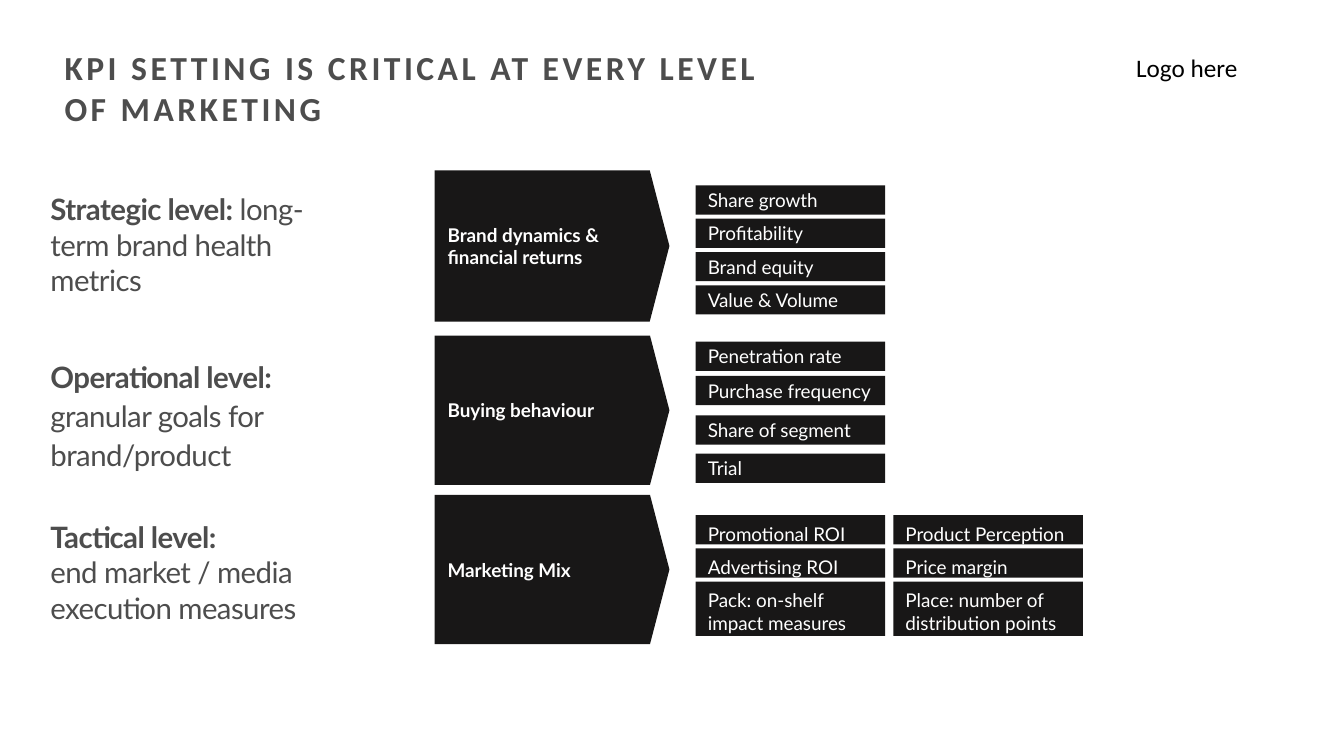
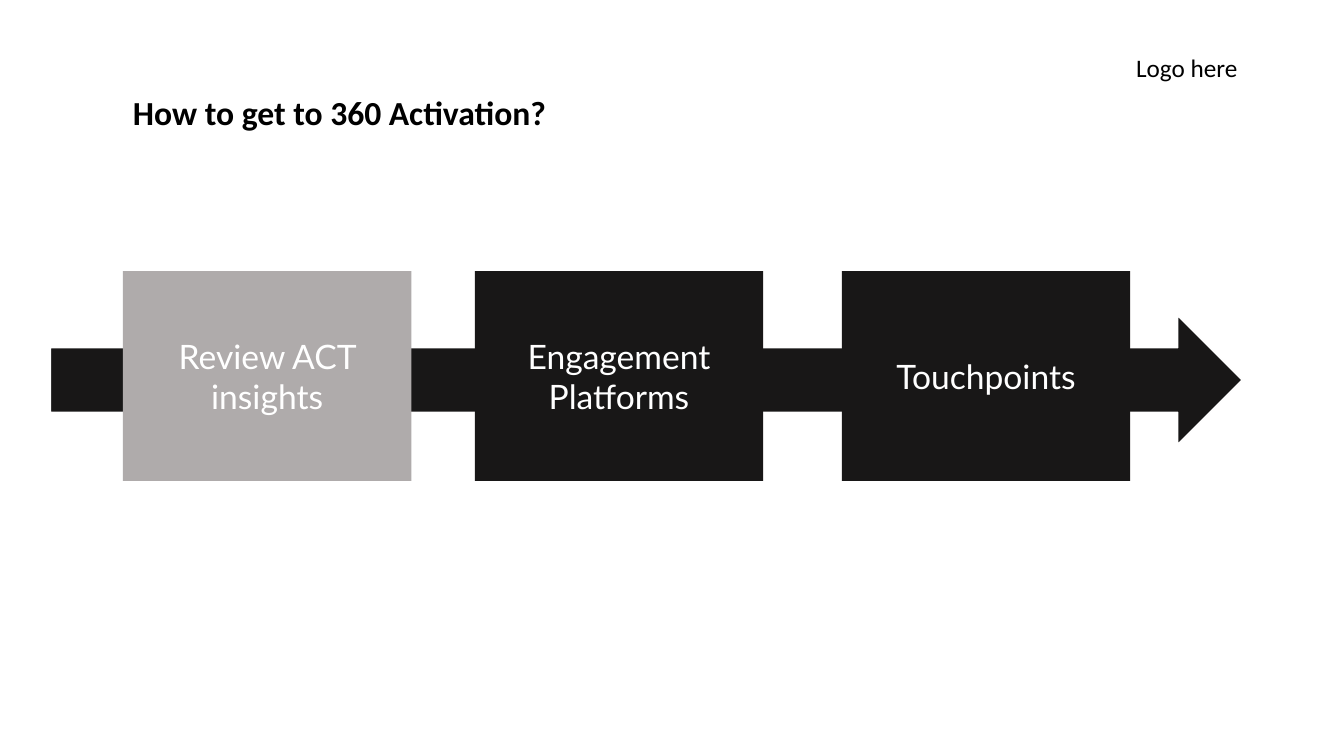
from dataclasses import dataclass
from pptx import Presentation
from pptx.dml.color import RGBColor
from pptx.enum.shapes import MSO_SHAPE
from pptx.enum.text import MSO_ANCHOR, PP_ALIGN
from pptx.util import Inches, Pt

RECT, PENTAGON, ARROW = MSO_SHAPE.RECTANGLE, MSO_SHAPE.PENTAGON, MSO_SHAPE.RIGHT_ARROW
TOP, MIDDLE = MSO_ANCHOR.TOP, MSO_ANCHOR.MIDDLE
LEFT, CENTER = PP_ALIGN.LEFT, PP_ALIGN.CENTER


@dataclass(frozen=True)
class Theme:
    dark: RGBColor = RGBColor(0x18, 0x17, 0x17)
    muted: RGBColor = RGBColor(0xAF, 0xAB, 0xAB)
    gray: RGBColor = RGBColor(0x4D, 0x4D, 0x4D)
    black: RGBColor = RGBColor(0, 0, 0)
    white: RGBColor = RGBColor(0xFF, 0xFF, 0xFF)
    heading_font: str = "Calibri"
    body_font: str = "Lato"
    title: float = 24
    logo: float = 18
    level: float = 21
    label: float = 13.5
    step: float = 24


T = Theme()
TEXT_INSETS = (0.1, 0.05, 0.1, 0.05)
BOX_INSETS = (0.13, 0.07, 0.13, 0.07)
KPI_INSETS = (0.12, 0.07, 0.03, 0.07)


def add_shape(s, kind, box, fill):
    sp = s.shapes.add_shape(kind, *map(Inches, box))
    sp.shadow.inherit = False
    sp.fill.solid()
    sp.fill.fore_color.rgb = fill
    sp.line.fill.background()
    return sp


def write(sp, paragraphs, size, color, font=T.body_font, insets=BOX_INSETS,
          anchor=MIDDLE, align=LEFT, line_spacing=None, tracking=0):
    """Fill a shape; each paragraph is a list of (text, bold) runs."""
    tf = sp.text_frame
    tf.word_wrap = True
    tf.vertical_anchor = anchor
    (tf.margin_left, tf.margin_top,
     tf.margin_right, tf.margin_bottom) = map(Inches, insets)
    for i, runs in enumerate(paragraphs):
        p = tf.paragraphs[0] if i == 0 else tf.add_paragraph()
        p.alignment = align
        p.line_spacing = line_spacing
        for text, bold in runs:
            r = p.add_run()
            r.text = text
            r.font.size, r.font.name, r.font.bold = Pt(size), font, bold
            r.font.color.rgb = color
            if tracking:
                r.font._element.set("spc", str(round(tracking * 100)))


prs = Presentation()
prs.slide_width, prs.slide_height = Inches(13.33), Inches(7.5)

# Both slides: logo label and title
titles = [
    ((0.64, 0.47, 7.33, 0.81), "KPI SETTING IS CRITICAL AT EVERY LEVEL OF MARKETING",
     dict(color=T.gray, insets=(0, 0, 0, 0), anchor=TOP, tracking=2.5)),
    ((1.22, 0.88, 12.35, 0.51), "How to get to 360 Activation?",
     dict(color=T.black, insets=TEXT_INSETS, line_spacing=0.9)),
]
slides = []
for box, title, style in titles:
    s = prs.slides.add_slide(prs.slide_layouts[6])
    logo = s.shapes.add_textbox(*map(Inches, (11.17, 0.47, 3, 0.4)))
    write(logo, [[("Logo here", False)]], T.logo, T.black, T.heading_font,
          TEXT_INSETS, TOP)
    sp = s.shapes.add_textbox(*map(Inches, box))
    write(sp, [[(title, True)]], T.title, font=T.heading_font, **style)
    slides.append(s)
kpi_slide, steps_slide = slides

# Slide 1: level descriptions
levels = [
    (1.88, 2.61, None, [[("Strategic level: ", True),
                         ("long-term brand health metrics", False)]]),
    (3.56, 3.25, 1.1, [[("Operational level:", True)],
                       [("granular goals for", False)],
                       [("brand/product", False)]]),
    (5.13, 2.85, None, [[("Tactical level:", True)],
                        [("end market / media", False)],
                        [("execution measures", False)]]),
]
for top, width, spacing, paragraphs in levels:
    sp = kpi_slide.shapes.add_textbox(*map(Inches, (0.5, top, width, 1.09)))
    write(sp, paragraphs, T.level, T.gray, insets=(0, 0.06, 0, 0.06),
          line_spacing=spacing, tracking=-0.4)

# Slide 1: area pentagons
areas = [
    (1.69, 1.5, "Brand dynamics & financial returns"),
    (3.33, 1.48, "Buying behaviour"),
    (4.91, 1.48, "Marketing Mix"),
]
for top, height, name in areas:
    sp = add_shape(kpi_slide, PENTAGON, (4.31, top, 2.33, height), T.dark)
    sp.adjustments[0] = 0.13
    write(sp, [[(name, True)]], T.label, T.white)

# Slide 1: KPI boxes, one column per entry
KPI_LEFT, KPI_WIDTH, KPI_HEIGHT, COLUMN_PITCH, ROW_PITCH = 6.9, 1.88, 0.29, 1.96, 0.33
brand_tops = [1.84 + ROW_PITCH * i for i in range(4)]
buying_tops = [3.39, 3.73, 4.12, 4.5]
mix_tops = [5.11 + ROW_PITCH * i for i in range(3)]
even, tall_last = [KPI_HEIGHT] * 4, [KPI_HEIGHT, KPI_HEIGHT, 0.54]
kpi_columns = [
    (0, brand_tops, even, MIDDLE,
     ["Share growth", "Profitability", "Brand equity", "Value & Volume"]),
    (0, buying_tops, even, MIDDLE,
     ["Penetration rate", "Purchase frequency", "Share of segment", "Trial"]),
    (0, mix_tops, tall_last, TOP,
     ["Promotional ROI", "Advertising ROI", "Pack: on-shelf impact measures"]),
    (1, mix_tops, tall_last, TOP,
     ["Product Perception", "Price margin", "Place: number of distribution points"]),
]
for column, tops, heights, anchor, names in kpi_columns:
    left = KPI_LEFT + column * COLUMN_PITCH
    for top, height, name in zip(tops, heights, names):
        sp = add_shape(kpi_slide, RECT, (left, top, KPI_WIDTH, height), T.dark)
        write(sp, [[(name, False)]], T.label, T.white, insets=KPI_INSETS, anchor=anchor)

# Slide 2: arrow with the three steps on it
sp = add_shape(steps_slide, ARROW, (0.5, 3.13, 11.82, 1.28), T.dark)
sp.line.color.rgb = T.white
sp.line.width = Pt(1)
steps = [
    (1.22, T.muted, "Review ACT insights"),
    (4.71, T.dark, "Engagement Platforms"),
    (8.35, T.dark, "Touchpoints"),
]
for left, fill, name in steps:
    sp = add_shape(steps_slide, RECT, (left, 2.69, 2.86, 2.08), fill)
    write(sp, [[(name, False)]], T.step, T.white, align=CENTER)

prs.save("out.pptx")
